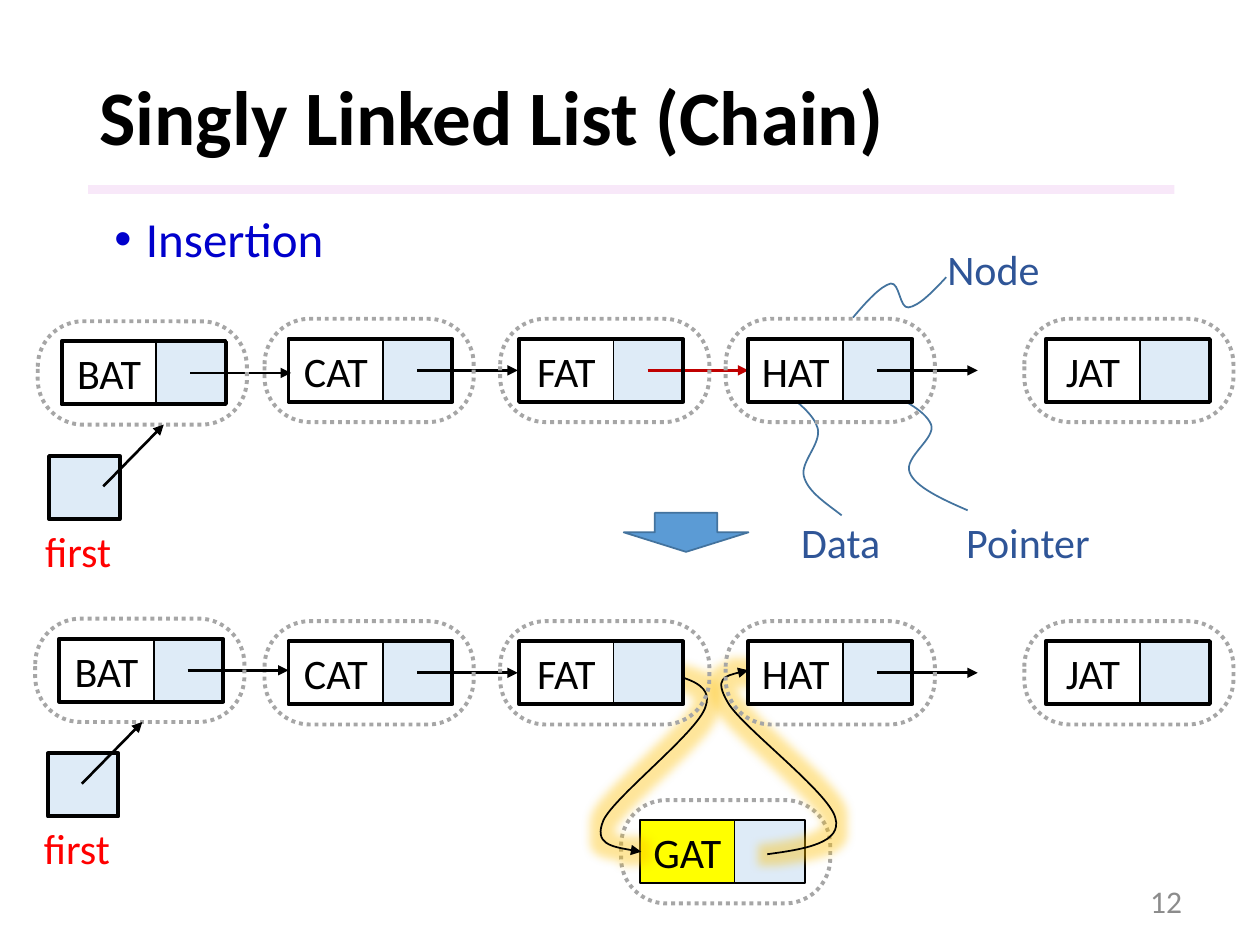
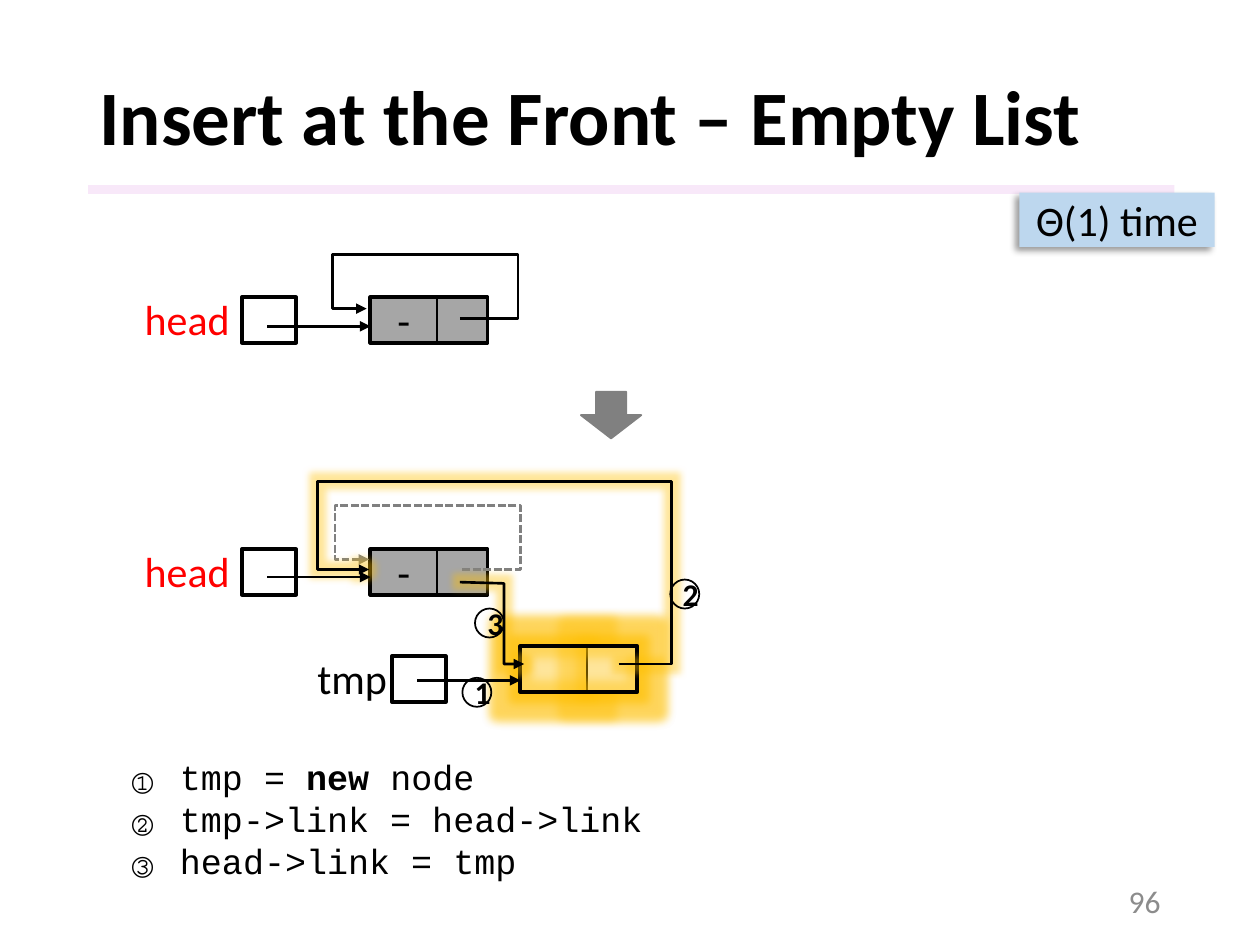
from lxml.etree import SubElement
from pptx import Presentation
from pptx.dml.color import RGBColor
from pptx.enum.dml import MSO_LINE as DASH
from pptx.enum.shapes import MSO_CONNECTOR, MSO_SHAPE as SHAPE
from pptx.enum.text import MSO_ANCHOR as ANCHOR, PP_ALIGN as ALIGN
from pptx.oxml.ns import qn
from pptx.util import Inches, Pt

rgb = RGBColor.from_string
BLACK, WHITE, RED, GRAY = "000000", "FFFFFF", "FF0000", "A6A6A6"
PALE_BLUE, NAVY, OUTLINE_BLUE, GLOW = "DEEBF7", "2F5597", "43739E", "FFC000"


def add_box(page, kind, x, y, w, h, text="", fill=None, line=None, weight=1.0, size=24,
            color=BLACK, bold=False, align=None, anchor=ANCHOR.MIDDLE, wrap=True, glow=0):
    """Add a preset shape, or a text box when kind is None."""
    place = [Inches(v) for v in (x, y, w, h)]
    if kind is None:
        box = page.shapes.add_textbox(*place)
    else:
        box = page.shapes.add_shape(kind, *place)
        box.shadow.inherit = False
        align = align or ALIGN.CENTER
    if fill:
        box.fill.solid()
        box.fill.fore_color.rgb = rgb(fill)
    else:
        box.fill.background()
    if line:
        box.line.color.rgb = rgb(line)
        box.line.width = Pt(weight)
    else:
        box.line.fill.background()
    if glow:
        halo = SubElement(box._element.spPr.find(qn("a:effectLst")), qn("a:glow"), rad=str(Pt(glow)))
        tint = SubElement(halo, qn("a:srgbClr"), val=GLOW)
        SubElement(tint, qn("a:alpha"), val="40000")
    if text:
        frame = box.text_frame
        frame.word_wrap = wrap
        frame.vertical_anchor = anchor
        para = frame.paragraphs[0]
        para.text = text
        para.alignment = align or ALIGN.LEFT
        para.font.name = "Calibri"
        para.font.size = Pt(size)
        para.font.bold = bold
        para.font.color.rgb = rgb(color)
    return box


def add_path(page, points, color=BLACK, weight=1.5, arrow=True, curved=False, dash=None, glow=0):
    """Add a connector for two points, else an open outline (cubic Bezier if curved)."""
    corners = [(Inches(x), Inches(y)) for x, y in points]
    if len(corners) == 2:
        path = page.shapes.add_connector(MSO_CONNECTOR.STRAIGHT, *corners[0], *corners[1])
    else:
        builder = page.shapes.build_freeform(*corners[0])
        builder.add_line_segments(corners[1:], close=False)
        path = builder.convert_to_shape()
        path.fill.background()
    if curved:
        outline = path._element.spPr.find(".//" + qn("a:path"))
        segments = outline.findall(qn("a:lnTo"))
        for start in range(0, len(segments), 3):
            curve = SubElement(outline, qn("a:cubicBezTo"))
            for segment in segments[start:start + 3]:
                curve.append(segment[0])
                outline.remove(segment)
    path.line.color.rgb = rgb(color)
    path.line.width = Pt(weight)
    if dash:
        path.line.dash_style = dash
    if arrow:
        SubElement(path.line._get_or_add_ln(), qn("a:tailEnd"), type="triangle")
    effects = SubElement(path._element.spPr, qn("a:effectLst"))
    if glow:
        halo = SubElement(effects, qn("a:glow"), rad=str(Pt(glow)))
        tint = SubElement(halo, qn("a:srgbClr"), val=GLOW)
        SubElement(tint, qn("a:alpha"), val="40000")


deck = Presentation()
deck.slide_width, deck.slide_height = Inches(10), Inches(7.5)

# Shared band, title and page number
pages = []
for title, number, number_x in [("Singly Linked List (Chain)", "12", 7.23),
                                ("Insert at the Front – Empty List", "96", 7.06)]:
    page = deck.slides.add_slide(deck.slide_layouts[6])
    band = add_box(page, SHAPE.RECTANGLE, 0.7, 1.47, 8.62, 0.07, fill="F3D2F4")
    band_color = band._element.spPr.find(qn("a:solidFill"))[0]
    SubElement(band_color, qn("a:alpha"), val="50000")
    heading = add_box(page, None, 0.69, 0.4, 8.62, 1.11, title, size=44, bold=True)
    heading.text_frame.paragraphs[0].line_spacing = 0.9
    add_box(page, None, number_x, 6.95, 2.25, 0.4, number, size=18, color="8C8C8C", align=ALIGN.RIGHT)
    pages.append(page)
chain_page, front_page = pages

# Chain: topic and callouts
topic = add_box(chain_page, None, 0.81, 1.66, 8.62, 0.6, anchor=ANCHOR.TOP)
topic.text_frame.word_wrap = True
para = topic.text_frame.paragraphs[0]
para.text = "Insertion"
para.line_spacing = 0.9
props = para._p.get_or_add_pPr()
props.set("marL", str(Inches(0.25)))
props.set("indent", str(Inches(-0.25)))
SubElement(props, qn("a:buFont"), typeface="Arial")
SubElement(props, qn("a:buChar"), char="•")
para.font.name = "Calibri"
para.font.size = Pt(28)
para.font.color.rgb = rgb("0000CC")

callouts = [
    ("Pointer", 7.57, 4.05, 1.19, [(6.94, 3.06), (7.14, 3.16), (7.34, 3.25), (7.39, 3.37), (7.43, 3.48),
                                   (7.17, 3.63), (7.22, 3.75), (7.26, 3.86), (7.47, 3.96), (7.68, 4.05)]),
    ("Data", 6.26, 4.05, 0.84, [(6.2, 3.09), (6.33, 3.19), (6.46, 3.29), (6.49, 3.4), (6.52, 3.52),
                                (6.35, 3.67), (6.38, 3.78), (6.41, 3.9), (6.55, 3.99), (6.68, 4.09)]),
    ("Node", 7.42, 1.88, 0.94, [(6.77, 2.52), (6.88, 2.39), (6.99, 2.27), (7.07, 2.25), (7.14, 2.24),
                                (7.14, 2.45), (7.21, 2.44), (7.29, 2.43), (7.4, 2.32), (7.51, 2.2)]),
]
for label, x, y, w, squiggle in callouts:
    add_path(chain_page, squiggle, OUTLINE_BLUE, 1, arrow=False, curved=True)
    add_box(chain_page, None, x, y, w, 0.5, label, color=NAVY, anchor=ANCHOR.TOP, wrap=False)

# Chain: the inserted node comes first, then the rows before and after insertion.
# Each node: label, left, top, left of its dotted ring, arrow colour
nodes = [("GAT", 5.08, 6.51, 4.93, None)]
for top, bat_x, bat_top, fat_arrow in [(2.69, 0.49, 2.71, "C00000"), (5.09, 0.47, 5.07, None)]:
    nodes += [("CAT", 2.29, top, 2.1, BLACK), ("FAT", 4.12, top, 3.97, fat_arrow),
              ("HAT", 5.94, top, 5.76, BLACK), ("JAT", 8.3, top, 8.13, None),
              ("BAT", bat_x, bat_top, bat_x - 0.19, BLACK)]
for label, x, y, ring_x, arrow_color in nodes:
    inserted = label == "GAT"
    add_box(chain_page, SHAPE.RECTANGLE, x, y, 0.75, 0.5, label,
            fill="FFFF00" if inserted else WHITE, line=BLACK)
    add_box(chain_page, SHAPE.RECTANGLE, x + 0.75, y, 0.56, 0.5, fill=PALE_BLUE, line=BLACK)
    if arrow_color:
        add_path(chain_page, [(x + 1.02, y + 0.25), (x + 1.82, y + 0.25)], arrow_color)
    ring = add_box(chain_page, SHAPE.ROUNDED_RECTANGLE, ring_x, y - 0.16, 1.66, 0.82,
                   line=GRAY, weight=2.25)
    ring.adjustments[0] = 0.44
    ring.line.dash_style = DASH.ROUND_DOT
    if inserted:
        for link in [[(5.18, 5.32), (5.42, 5.37), (5.67, 5.42), (5.6, 5.61), (5.54, 5.81),
                      (4.88, 6.32), (4.79, 6.51), (4.71, 6.7), (4.9, 6.73), (5.09, 6.76)],
                     [(6.09, 6.78), (6.39, 6.74), (6.69, 6.69), (6.63, 6.49), (6.58, 6.29),
                      (5.89, 5.77), (5.78, 5.58), (5.66, 5.38), (5.8, 5.35), (5.94, 5.32)]]:
            add_path(chain_page, link, weight=1, curved=True, glow=11)
    else:
        add_box(chain_page, SHAPE.RECTANGLE, x, y, 1.3, 0.5, line=BLACK, weight=2.25)

for x, y, arrow_x in [(0.39, 3.62, 0.82), (0.38, 5.98, 0.65)]:
    add_box(chain_page, SHAPE.RECTANGLE, x, y, 0.56, 0.5, fill=PALE_BLUE, line=BLACK, weight=2.25)
    add_path(chain_page, [(arrow_x, y + 0.24), (arrow_x + 0.48, y - 0.25)])
    add_box(chain_page, None, x - 0.13, y + 0.5, 0.73, 0.5, "first", color=RED,
            anchor=ANCHOR.TOP, wrap=False)
add_box(chain_page, SHAPE.DOWN_ARROW, 4.95, 4.07, 0.99, 0.31, fill="5B9BD5", line=OUTLINE_BLUE)

# Empty list: nodes before and after, and the new node
for x, y, fill, label, glow in [(2.94, 2.36, GRAY, "-", 0), (2.94, 4.36, GRAY, "-", 0),
                                (4.13, 5.13, WHITE, "", 11)]:
    add_box(front_page, SHAPE.RECTANGLE, x, y, 0.53, 0.36, label, fill=fill, line=BLACK, glow=glow)
    add_box(front_page, SHAPE.RECTANGLE, x + 0.53, y, 0.4, 0.36, fill=fill, line=BLACK, glow=glow)
    add_box(front_page, SHAPE.RECTANGLE, x, y, 0.93, 0.36, line=BLACK, weight=2.25, glow=glow)

# Self-link, solid before and dashed after
for dx, dy, color, dash in [(0, 0, BLACK, None), (0.02, 1.99, "808080", DASH.SQUARE_DOT)]:
    loop = [(3.65, 2.53), (4.11, 2.53), (4.11, 2.02), (2.64, 2.02), (2.64, 2.45), (2.91, 2.45)]
    add_path(front_page, [(x + dx, y + dy) for x, y in loop], color, dash=dash)
add_path(front_page, [(3.65, 4.62), (4, 4.63), (4, 5.27), (4.16, 5.27)], glow=8)
add_path(front_page, [(4.91, 5.27), (5.33, 5.27), (5.33, 3.82), (2.52, 3.82), (2.52, 4.52),
                      (2.93, 4.52)], glow=8)

# Pointer variables
for name, name_x, box_x, y, color, arrow_y in [("head", 1.05, 1.92, 2.36, RED, 2.59),
                                               ("head", 1.05, 1.92, 4.36, RED, 4.58),
                                               ("tmp", 2.42, 3.11, 5.21, BLACK, 5.4)]:
    add_path(front_page, [(box_x + 0.2, arrow_y), (box_x + 1.02, arrow_y)])
    add_box(front_page, None, name_x, y - 0.08, 0.89, 0.5, name, color=color,
            anchor=ANCHOR.TOP, wrap=False)
    add_box(front_page, SHAPE.RECTANGLE, box_x, y, 0.43, 0.36, line=BLACK, weight=2.25)

for step, x, y in [("1", 3.67, 5.38), ("2", 5.32, 4.6), ("3", 3.77, 4.83)]:
    add_box(front_page, SHAPE.OVAL, x, y, 0.23, 0.23, step, line=BLACK, size=18, bold=True)
add_box(front_page, SHAPE.DOWN_ARROW, 4.61, 3.11, 0.48, 0.37, fill="808080", line="808080")

# Code steps
code = add_box(front_page, None, 0.95, 5.95, 8.69, 1.11).text_frame
code.word_wrap = True
steps = [["tmp = ", "new", " node"], ["tmp->link = head->link"], ["head->link = tmp"]]
for index, parts in enumerate(steps):
    para = code.add_paragraph() if index else code.paragraphs[0]
    props = para._p.get_or_add_pPr()
    props.set("marL", str(Inches(0.38)))
    props.set("indent", str(Inches(-0.38)))
    SubElement(props, qn("a:buFont"), typeface="+mj-lt")
    SubElement(props, qn("a:buAutoNum"), type="circleNumWdWhitePlain")
    para.font.name = "Courier New"
    para.font.size = Pt(20)
    para.font.color.rgb = rgb(BLACK)
    for part in parts:
        span = para.add_run()
        span.text = part
        if part == "new":
            span.font.bold = True

# Running time badge
badge = add_box(front_page, SHAPE.RECTANGLE, 8.09, 1.53, 1.55, 0.43, "Θ(1) time", fill="BDD7EE")
shadow = SubElement(badge._element.spPr.find(qn("a:effectLst")), qn("a:outerShdw"),
                    blurRad=str(Pt(4)), dist=str(Pt(3)), dir=str(135 * 60000), algn="tr", rotWithShape="0")
shade = SubElement(shadow, qn("a:srgbClr"), val=BLACK)
SubElement(shade, qn("a:alpha"), val="40000")

deck.save("out.pptx")
